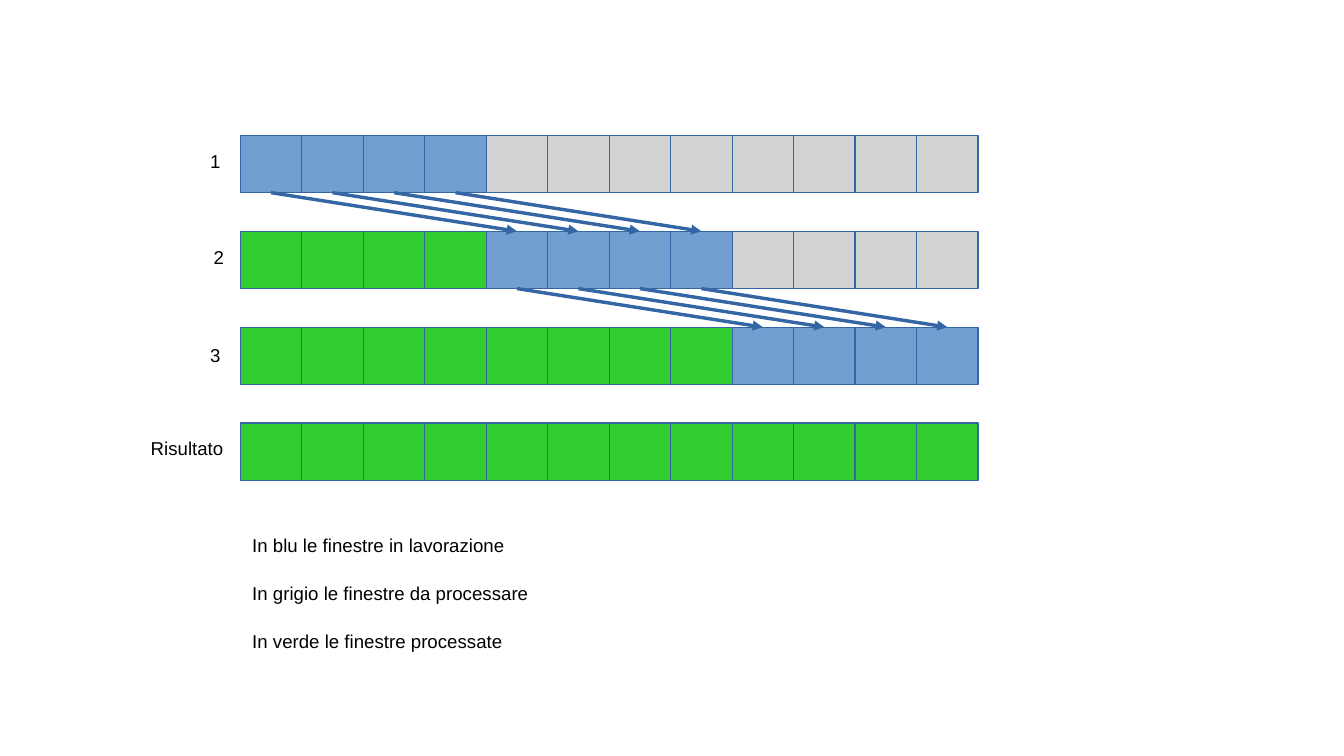
from lxml.etree import SubElement
from pptx import Presentation
from pptx.dml.color import RGBColor
from pptx.enum.shapes import MSO_CONNECTOR, MSO_SHAPE
from pptx.enum.text import MSO_AUTO_SIZE, PP_ALIGN
from pptx.oxml.ns import qn
from pptx.util import Inches, Pt

BLUE = RGBColor(0x72, 0x9F, 0xCF)
GREY = RGBColor(0xD3, 0xD3, 0xD3)
GREEN = RGBColor(0x32, 0xCD, 0x32)
OUTLINE = RGBColor(0x34, 0x65, 0xA4)
BLACK = RGBColor(0, 0, 0)

WINDOWS = 12
BATCH = 4
PROCESSED_COUNTS = [0, 4, 8, 12]
ROW_LABELS = [
    ("1", 1.57, 1.18, 0.39, 0.39, PP_ALIGN.CENTER),
    ("2", 1.62, 1.97, 0.35, 0.41, PP_ALIGN.CENTER),
    ("3", 1.57, 2.77, 0.39, 0.38, PP_ALIGN.CENTER),
    ("Risultato", 0.59, 3.53, 1.34, 0.27, PP_ALIGN.RIGHT),
]
LEGEND = [
    "In blu le finestre in lavorazione",
    "In grigio le finestre da processare",
    "In verde le finestre processate",
]

GRID_LEFT, GRID_TOP = 1.97, 1.11
CELL_WIDTH, CELL_HEIGHT = 6.05 / WINDOWS, 0.47
ROW_PITCH = 2.36 / 3
LEGEND_TOP, LEGEND_PITCH = 4.33, 0.395


def window_color(index, processed):
    """Return the colour for a window's processing state."""
    if index < processed:
        return GREEN
    return BLUE if index < processed + BATCH else GREY


def add_window(slide, row, column, color):
    """Add one window cell to the grid."""
    window = slide.shapes.add_shape(
        MSO_SHAPE.RECTANGLE,
        Inches(GRID_LEFT + column * CELL_WIDTH),
        Inches(GRID_TOP + row * ROW_PITCH),
        Inches(CELL_WIDTH),
        Inches(CELL_HEIGHT),
    )
    window.shadow.inherit = False
    window.fill.solid()
    window.fill.fore_color.rgb = color
    window.line.color.rgb = OUTLINE
    window.line.width = Pt(0)
    return window


def add_arrow(slide, source, target):
    """Join the bottom of one window to the top of another."""
    arrow = slide.shapes.add_connector(MSO_CONNECTOR.STRAIGHT, 0, 0, 0, 0)
    arrow.begin_connect(source, 2)
    arrow.end_connect(target, 0)
    arrow.line.color.rgb = OUTLINE
    arrow.line.width = Pt(0)
    SubElement(arrow.line._get_or_add_ln(), qn("a:tailEnd"), type="triangle")
    SubElement(arrow._element.spPr, qn("a:effectLst"))


def add_text(slide, text, left, top, width, height, alignment):
    """Add a line of text."""
    box = slide.shapes.add_textbox(
        Inches(left), Inches(top), Inches(width), Inches(height)
    )
    frame = box.text_frame
    frame.word_wrap = True
    frame.auto_size = MSO_AUTO_SIZE.SHAPE_TO_FIT_TEXT
    frame.text = text
    para = frame.paragraphs[0]
    para.alignment = alignment
    font = para.runs[0].font
    font.name = "Arial"
    font.size = Pt(11)
    font.color.rgb = BLACK


def main():
    """Build the slide of windows processed in batches."""
    deck = Presentation()
    deck.slide_width, deck.slide_height = Inches(11.02), Inches(6.2)
    slide = deck.slides.add_slide(deck.slide_layouts[6])

    rows = [
        [
            add_window(slide, row, column, window_color(column, processed))
            for column in range(WINDOWS)
        ]
        for row, processed in enumerate(PROCESSED_COUNTS)
    ]
    for row in range(2):
        first = PROCESSED_COUNTS[row]
        for column in range(first, first + BATCH):
            add_arrow(slide, rows[row][column], rows[row + 1][column + BATCH])

    for label in ROW_LABELS:
        add_text(slide, *label)
    for index, text in enumerate(LEGEND):
        top = LEGEND_TOP + index * LEGEND_PITCH
        add_text(slide, text, GRID_LEFT, top, 6.3, 0.39, PP_ALIGN.LEFT)

    deck.save("out.pptx")


if __name__ == "__main__":
    main()
